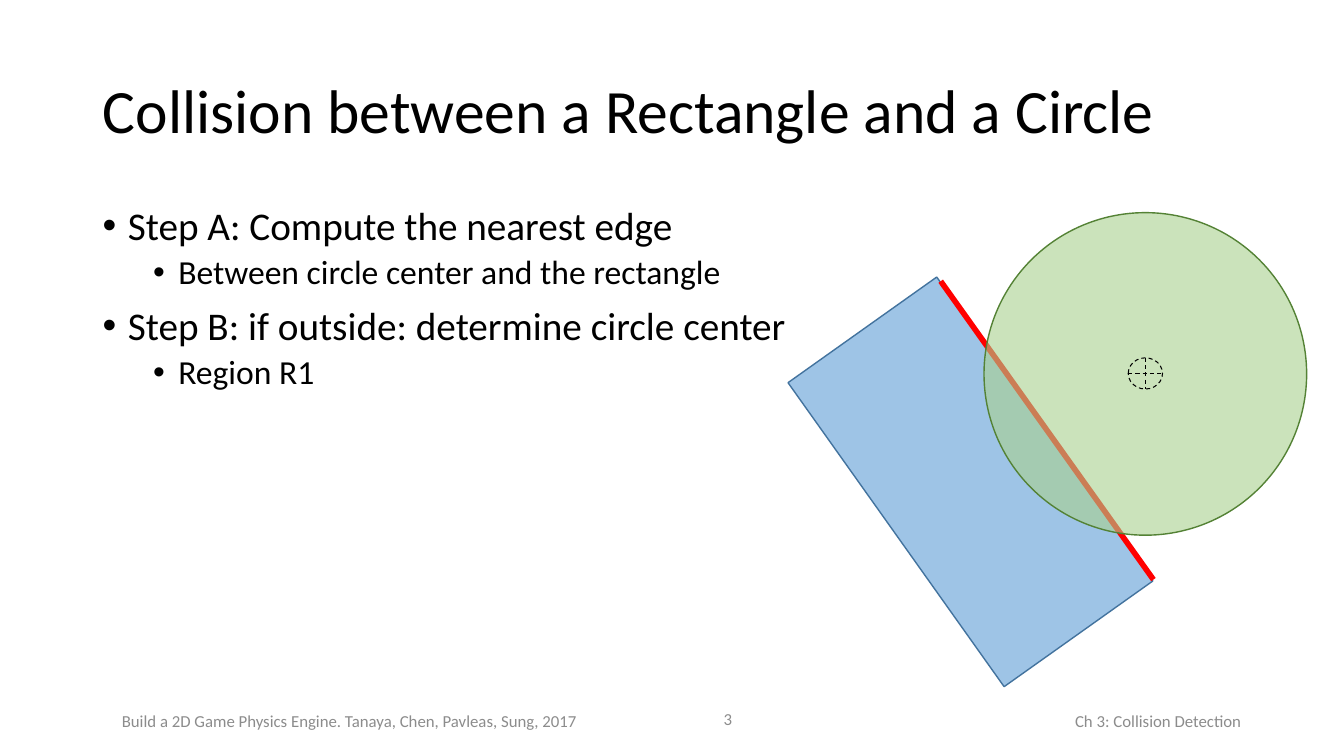
import pptx
import pptx.dml.color
import pptx.enum.dml
import pptx.enum.shapes
import pptx.enum.text
import pptx.oxml.ns
import pptx.util
from lxml import etree
from pptx.util import Inches

ALIGN = pptx.enum.text.PP_ALIGN
SHAPE = pptx.enum.shapes.MSO_SHAPE
ANCHOR = pptx.enum.text.MSO_ANCHOR


def color(hex_string):
    return pptx.dml.color.RGBColor.from_string(hex_string)


def add_child(parent, tag, **attributes):
    """Append a DrawingML element to the parent."""
    return etree.SubElement(parent, pptx.oxml.ns.qn(tag), attributes)


class SlideBuilder:
    font_name = "Calibri"
    text_color = "000000"
    footer_color = "8C8C8C"

    def __init__(self, presentation):
        title_only = presentation.slide_layouts[5]
        self.slide = presentation.slides.add_slide(title_only)

    def style(self, paragraph, size, hex_string):
        paragraph.font.name = self.font_name
        paragraph.font.size = pptx.util.Pt(size)
        paragraph.font.color.rgb = color(hex_string)

    def title(self, text, left, top, width, height):
        shape = self.slide.shapes.title
        shape.left, shape.top = Inches(left), Inches(top)
        shape.width, shape.height = Inches(width), Inches(height)
        frame = shape.text_frame
        frame.text = text
        frame.word_wrap = True
        frame.auto_size = pptx.enum.text.MSO_AUTO_SIZE.NONE
        frame.vertical_anchor = ANCHOR.MIDDLE
        paragraph = frame.paragraphs[0]
        paragraph.alignment = ALIGN.LEFT
        paragraph.line_spacing = 0.9
        self.style(paragraph, 44, self.text_color)

    def text_box(self, left, top, width, height):
        shape = self.slide.shapes.add_textbox(
            Inches(left), Inches(top), Inches(width), Inches(height))
        shape.text_frame.word_wrap = True
        return shape.text_frame

    def footer(self, text, left, top, width, alignment):
        frame = self.text_box(left, top, width, 0.4)
        frame.vertical_anchor = ANCHOR.MIDDLE
        frame.text = text
        paragraph = frame.paragraphs[0]
        paragraph.alignment = alignment
        self.style(paragraph, 12, self.footer_color)

    def bullets(self, items, left, top, width, height):
        """Write (level, text) pairs as a bulleted list."""
        frame = self.text_box(left, top, width, height)
        for index, (level, text) in enumerate(items):
            paragraph = frame.add_paragraph() if index else frame.paragraphs[0]
            paragraph.text = text
            paragraph.level = level
            paragraph.line_spacing = 0.9
            paragraph.space_before = pptx.util.Pt(5 if level else 10)
            self.style(paragraph, 24 if level else 28, self.text_color)
            properties = paragraph._p.get_or_add_pPr()
            properties.set("marL", str(Inches(0.25 + 0.5 * level)))
            properties.set("indent", str(Inches(-0.25)))
            bullet_font = add_child(properties, "a:buFont", typeface="Arial")
            bullet = add_child(properties, "a:buChar", char="•")
            # The schema wants bullets ahead of the default run properties.
            default_run = properties.find(pptx.oxml.ns.qn("a:defRPr"))
            if default_run is not None:
                default_run.addprevious(bullet_font)
                default_run.addprevious(bullet)

    def shape(self, kind, left, top, width, height, line, line_width=1,
              fill=None, opacity=100, rotation=0, dashed=False):
        shape = self.slide.shapes.add_shape(
            kind, Inches(left), Inches(top), Inches(width), Inches(height))
        shape.shadow.inherit = False
        shape.rotation = rotation
        shape.line.color.rgb = color(line)
        shape.line.width = pptx.util.Pt(line_width)
        if dashed:
            shape.line.dash_style = pptx.enum.dml.MSO_LINE.DASH
        if fill is None:
            shape.fill.background()
        else:
            shape.fill.solid()
            shape.fill.fore_color.rgb = color(fill)
            solid = shape._element.spPr.find(pptx.oxml.ns.qn("a:solidFill"))
            add_child(solid[0], "a:alpha", val=str(opacity * 1000))

    def line(self, x1, y1, x2, y2, hex_string, width):
        connector = self.slide.shapes.add_connector(
            pptx.enum.shapes.MSO_CONNECTOR.STRAIGHT,
            Inches(x1), Inches(y1), Inches(x2), Inches(y2))
        connector.line.color.rgb = color(hex_string)
        connector.line.width = pptx.util.Pt(width)
        add_child(connector._element.spPr, "a:effectLst")


def main():
    presentation = pptx.Presentation()
    presentation.slide_width = Inches(13.33)
    presentation.slide_height = Inches(7.5)
    builder = SlideBuilder(presentation)

    builder.footer("Ch 3: Collision Detection", 7.6, 6.95, 4.81, ALIGN.RIGHT)
    builder.footer(
        "Build a 2D Game Physics Engine. Tanaya, Chen, Pavleas, Sung, 2017",
        1.11, 6.95, 5.05, ALIGN.LEFT)
    builder.footer("3", 6.17, 6.93, 1.19, ALIGN.RIGHT)

    builder.title("Collision between a Rectangle and a Circle",
                  0.92, 0.4, 11.5, 1.45)
    builder.bullets([
        (0, "Step A: Compute the nearest edge"),
        (1, "Between circle center and the rectangle"),
        (0, "Step B: if outside: determine circle center"),
        (1, "Region R1"),
    ], 0.92, 2, 11.5, 4.76)

    builder.shape(SHAPE.RECTANGLE, 8.72, 2.93, 1.81, 3.7, "43739E",
                  fill="5B9BD5", opacity=59, rotation=324.6)
    builder.line(11.44, 5.75, 9.33, 2.79, "FF0000", 4)
    builder.shape(SHAPE.OVAL, 9.76, 2.11, 3.2, 3.2, "548235",
                  fill="A9D18E", opacity=60)
    builder.shape(SHAPE.FLOWCHART_OR, 11.19, 3.55, 0.34, 0.31, "000000",
                  line_width=0.75, dashed=True)

    presentation.save("out.pptx")


if __name__ == "__main__":
    main()
